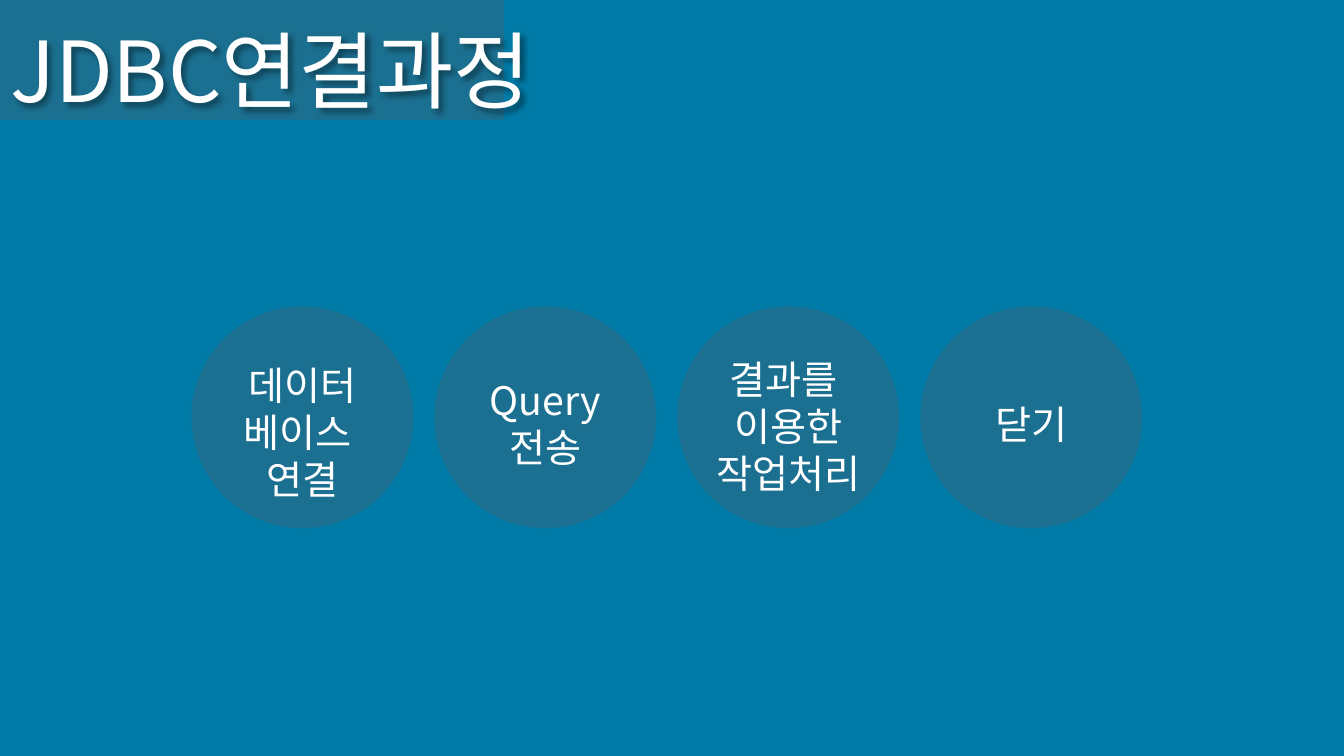
from lxml import etree
from pptx import Presentation
from pptx.dml.color import RGBColor
from pptx.enum.shapes import MSO_SHAPE
from pptx.enum.text import MSO_ANCHOR, MSO_AUTO_SIZE, PP_ALIGN
from pptx.oxml.ns import qn
from pptx.util import Inches, Pt

BACKGROUND = RGBColor(0x00, 0x7B, 0xA7)
PANEL = RGBColor(0x61, 0x57, 0x58)
WHITE = RGBColor(0xFF, 0xFF, 0xFF)
BLACK = RGBColor(0x00, 0x00, 0x00)


def unit(steps):
    """Length of a number of grid columns or rows, each 0.1 inch."""
    return Inches(steps / 10)


class Deck:
    font = "Noto Sans CJK KR"
    panel_opacity = 28

    def __init__(self, columns, rows):
        self.prs = Presentation()
        self.prs.slide_width, self.prs.slide_height = unit(columns), unit(rows)
        self.slide = self.prs.slides.add_slide(self.prs.slide_layouts[5])
        fill = self.slide.background.fill
        fill.solid()
        fill.fore_color.rgb = BACKGROUND

    def set_alpha(self, color, percent):
        etree.SubElement(color, qn("a:alpha"), val=str(percent * 1000))

    def panel(self, kind, left, top, width, height):
        shape = self.slide.shapes.add_shape(kind, *map(unit, (left, top, width, height)))
        shape.shadow.inherit = False
        shape.line.fill.background()
        shape.fill.solid()
        shape.fill.fore_color.rgb = PANEL
        color = shape._element.spPr.find(qn("a:solidFill")).find(qn("a:srgbClr"))
        self.set_alpha(color, self.panel_opacity)

    def put_text(self, shape, lines, size, align):
        frame = shape.text_frame
        frame.word_wrap = True
        frame.auto_size = MSO_AUTO_SIZE.NONE
        frame.vertical_anchor = MSO_ANCHOR.TOP
        # Tight line pitch needs a little more room above the first line
        frame.margin_top = Inches(0.05) + Pt(size * 0.09)
        for i, line in enumerate(lines):
            paragraph = frame.paragraphs[0] if i == 0 else frame.add_paragraph()
            paragraph.alignment = align
            paragraph.line_spacing = Pt(size * 1.2)
            run = paragraph.add_run()
            run.text = line
            run.font.size, run.font.name = Pt(size), self.font
            run.font.color.rgb = WHITE
            etree.SubElement(run._r.get_or_add_rPr(), qn("a:ea"), typeface=self.font)

    def title(self, text, left, top, width, height):
        shape = self.slide.shapes.title
        shape.left, shape.top, shape.width, shape.height = map(unit, (left, top, width, height))
        self.put_text(shape, [text], 60, PP_ALIGN.LEFT)
        # Soft shadow behind the letters, in front of the banner
        effects = etree.SubElement(shape._element.spPr, qn("a:effectLst"))
        shadow = etree.SubElement(effects, qn("a:outerShdw"), blurRad=str(int(Pt(4))),
                                  dist=str(int(Pt(3))), dir="2700000", algn="tl")
        color = etree.SubElement(shadow, qn("a:srgbClr"), val=str(BLACK))
        self.set_alpha(color, 40)
        self.slide.shapes._spTree.append(shape._element)

    def label(self, lines, left, top, width, height):
        box = self.slide.shapes.add_textbox(*map(unit, (left, top, width, height)))
        self.put_text(box, lines, 28, PP_ALIGN.CENTER)


deck = Deck(133.33, 75)

# Banner and title
deck.panel(MSO_SHAPE.RECTANGLE, 0, 0, 50, 11.9)
deck.title("JDBC연결과정", 0, 0.6, 59.6, 11.1)

# Steps: label lines, label top, label width
STEPS = [
    (["데이터", "베이스 ", "연결"], 35, 15.4),
    (["Query", "전송"], 36.5, 15.4),
    (["결과를 ", "이용한", "작업처리"], 34.4, 18.7),
    (["닫기"], 38.9, 18.7),
]
FIRST_LEFT, PITCH, DIAMETER, CIRCLE_TOP = 19, 24.1, 22, 30.4
LINE_HEIGHT, PADDING = 4.7, 1

circle_lefts = [FIRST_LEFT + i * PITCH for i in range(len(STEPS))]
for left in circle_lefts:
    deck.panel(MSO_SHAPE.OVAL, left, CIRCLE_TOP, DIAMETER, DIAMETER)
for left, (lines, top, width) in zip(circle_lefts, STEPS):
    deck.label(lines, left + (DIAMETER - width) / 2, top, width,
               len(lines) * LINE_HEIGHT + PADDING)

deck.prs.save("out.pptx")
